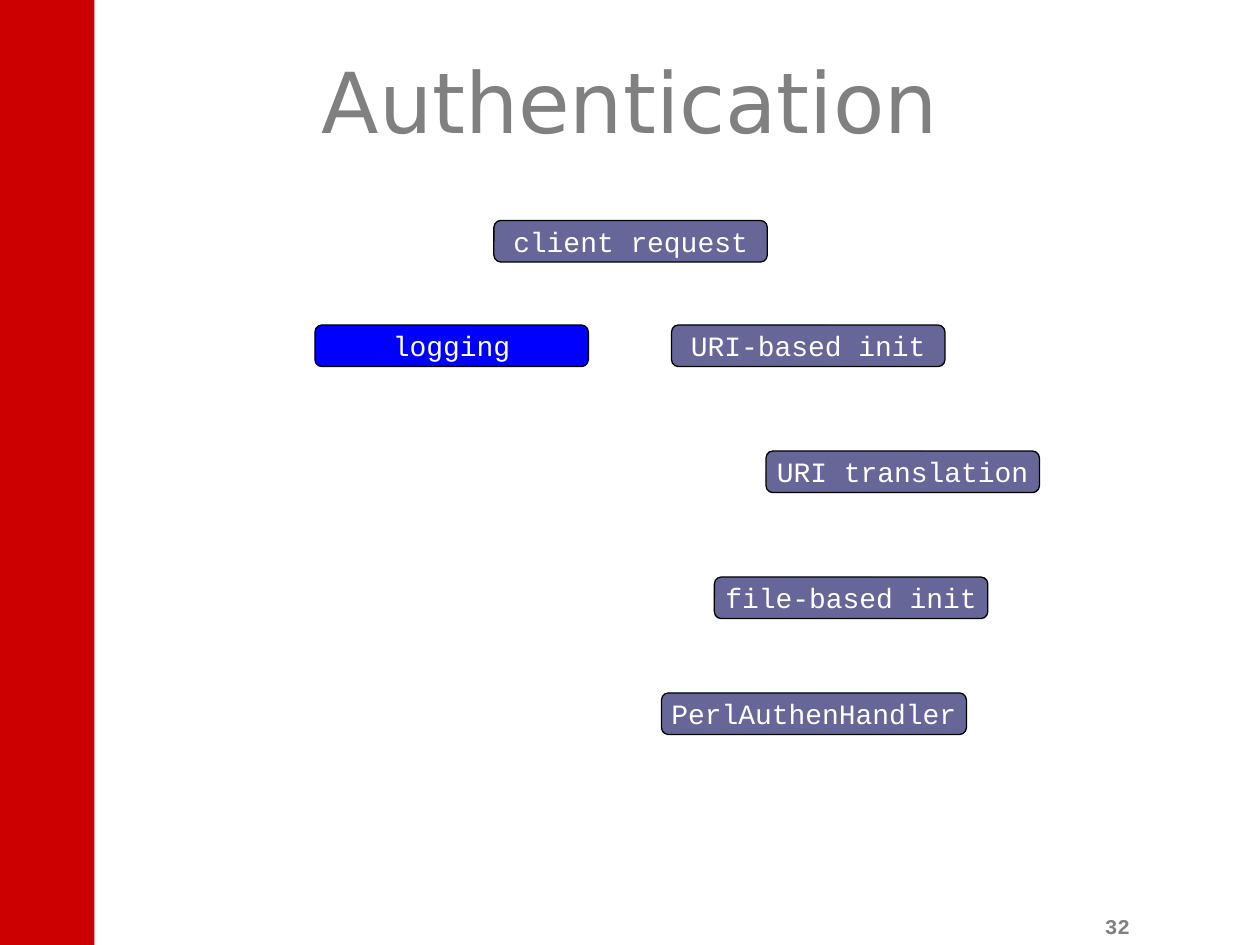
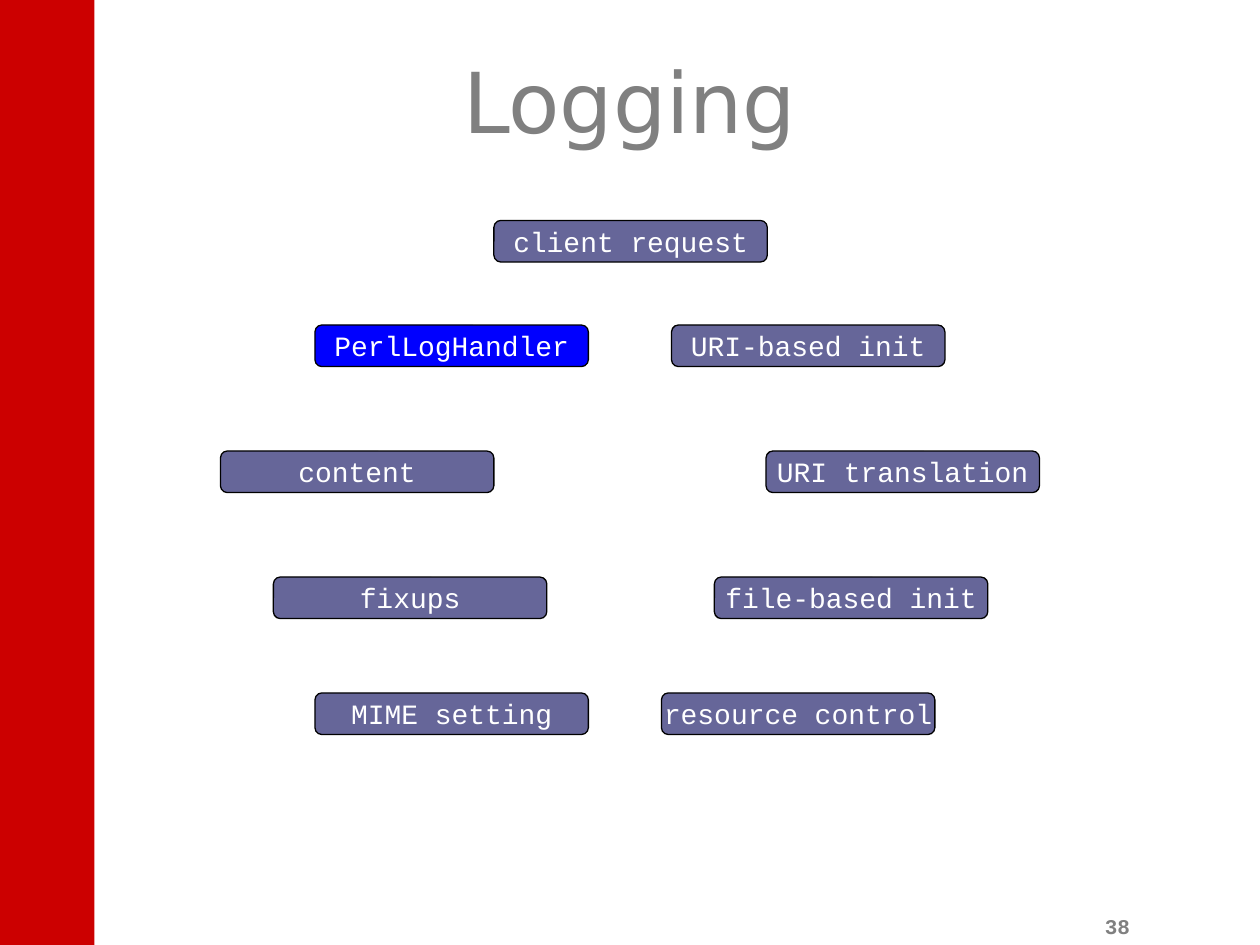
"""Build two slides showing the phases of a request cycle."""
from typing import NamedTuple

import pptx
import pptx.dml.color
import pptx.enum.shapes
import pptx.enum.text
import pptx.slide
import pptx.text.text
import pptx.util

Inches = pptx.util.Inches
Pt = pptx.util.Pt
SHAPE = pptx.enum.shapes.MSO_SHAPE
ANCHOR = pptx.enum.text.MSO_ANCHOR
ALIGN = pptx.enum.text.PP_ALIGN

COLORS = {
    "band": "CC0000",
    "gray": "808080",
    "phase": "666699",
    "logging": "0000FF",
    "outline": "000000",
    "label": "FFFFFF",
}
TITLE_FONT = "DejaVu Sans"
MONO_FONT = "Courier New"
PHASE_WIDTH = 2.17
PHASE_HEIGHT = 0.33


class Phase(NamedTuple):
    label: str
    left: float
    top: float
    fill: str = "phase"
    width: float = PHASE_WIDTH


class Cycle(NamedTuple):
    title: str
    number: str
    phases: list[Phase]


SHARED_PHASES = [
    Phase("client request", 3.92, 1.75),
    Phase("URI-based init", 5.33, 2.58),
    Phase("URI translation", 6.08, 3.58),
    Phase("file-based init", 5.67, 4.58),
]
CYCLES = [
    Cycle("Authentication", "32", SHARED_PHASES + [
        Phase("PerlAuthenHandler", 5.25, 5.5, width=2.42),
        Phase("logging", 2.5, 2.58, "logging"),
    ]),
    Cycle("Logging", "38", SHARED_PHASES + [
        Phase("resource control", 5.25, 5.5),
        Phase("MIME setting", 2.5, 5.5),
        Phase("fixups", 2.17, 4.58),
        Phase("content", 1.75, 3.58),
        Phase("PerlLogHandler", 2.5, 2.58, "logging"),
    ]),
]


def rgb(name: str) -> pptx.dml.color.RGBColor:
    return pptx.dml.color.RGBColor.from_string(COLORS[name])


def set_text(tf: pptx.text.text.TextFrame, text: str, font: str, size: int, color: str,
             align: ALIGN = ALIGN.CENTER, anchor: ANCHOR = ANCHOR.MIDDLE,
             wrap: bool = True, bold: bool = False) -> None:
    tf.word_wrap = wrap
    tf.vertical_anchor = anchor
    p = tf.paragraphs[0]
    p.text = text
    p.alignment = align
    p.font.name = font
    p.font.size = Pt(size)
    p.font.bold = bold
    p.font.color.rgb = rgb(color)


def add_frame(s: pptx.slide.Slide, title: str, number: str) -> None:
    sp = s.shapes.add_textbox(Inches(8.67), Inches(7), Inches(0.58), Inches(0.5))
    set_text(sp.text_frame, number, MONO_FONT, 12, "gray", ALIGN.LEFT, ANCHOR.BOTTOM, bold=True)
    sp = s.shapes.add_shape(SHAPE.RECTANGLE, 0, 0, Inches(0.75), Inches(7.5))
    sp.shadow.inherit = False
    sp.fill.solid()
    sp.fill.fore_color.rgb = rgb("band")
    sp.line.fill.background()
    sp = s.shapes.add_textbox(Inches(0.75), Inches(0.17), Inches(8.5), Inches(1.25))
    set_text(sp.text_frame, title, TITLE_FONT, 48, "gray")


def add_phase(s: pptx.slide.Slide, phase: Phase) -> None:
    sp = s.shapes.add_shape(SHAPE.ROUNDED_RECTANGLE, Inches(phase.left), Inches(phase.top),
                            Inches(phase.width), Inches(PHASE_HEIGHT))
    sp.shadow.inherit = False
    sp.fill.solid()
    sp.fill.fore_color.rgb = rgb(phase.fill)
    sp.line.color.rgb = rgb("outline")
    sp.line.width = Pt(0.75)
    set_text(sp.text_frame, phase.label, MONO_FONT, 16, "label", wrap=False)


def main() -> None:
    prs = pptx.Presentation()
    prs.slide_width = Inches(10)
    prs.slide_height = Inches(7.5)
    for cycle in CYCLES:
        s = prs.slides.add_slide(prs.slide_layouts[6])
        add_frame(s, cycle.title, cycle.number)
        for phase in cycle.phases:
            add_phase(s, phase)
    prs.save("out.pptx")


if __name__ == "__main__":
    main()
